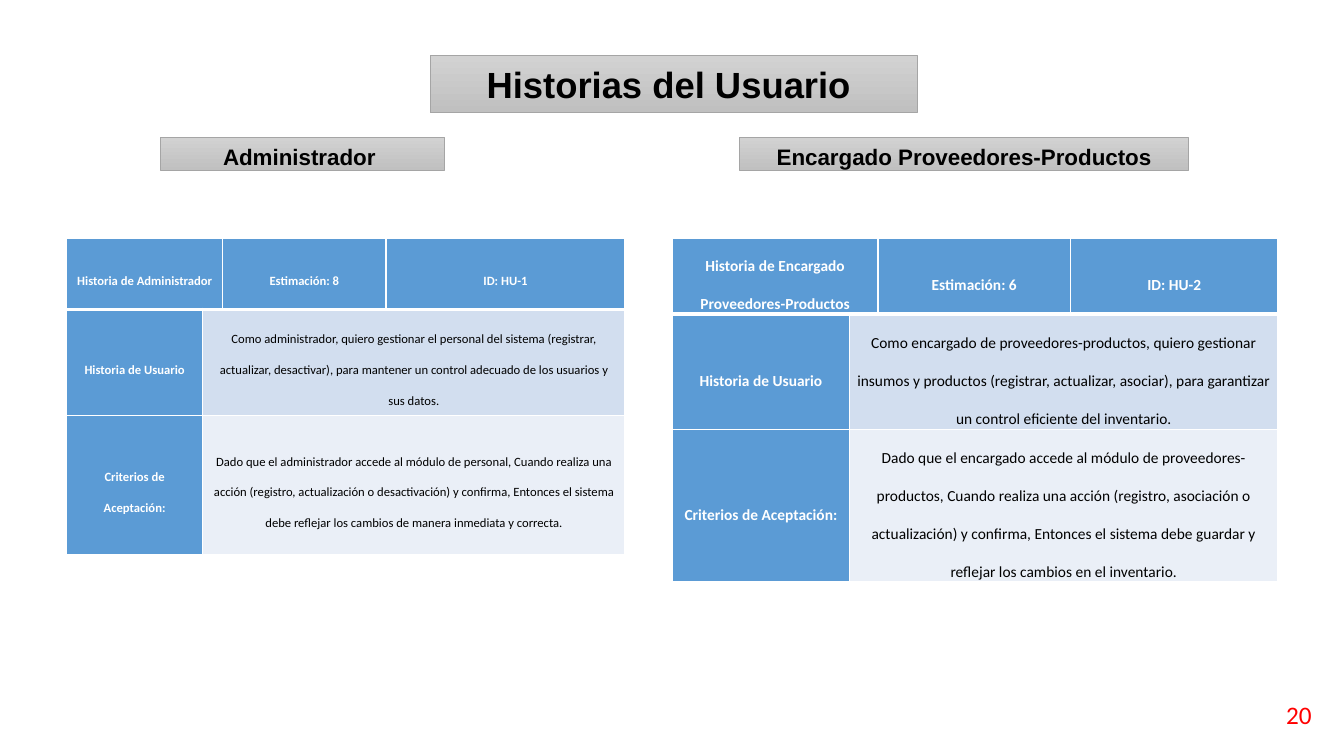
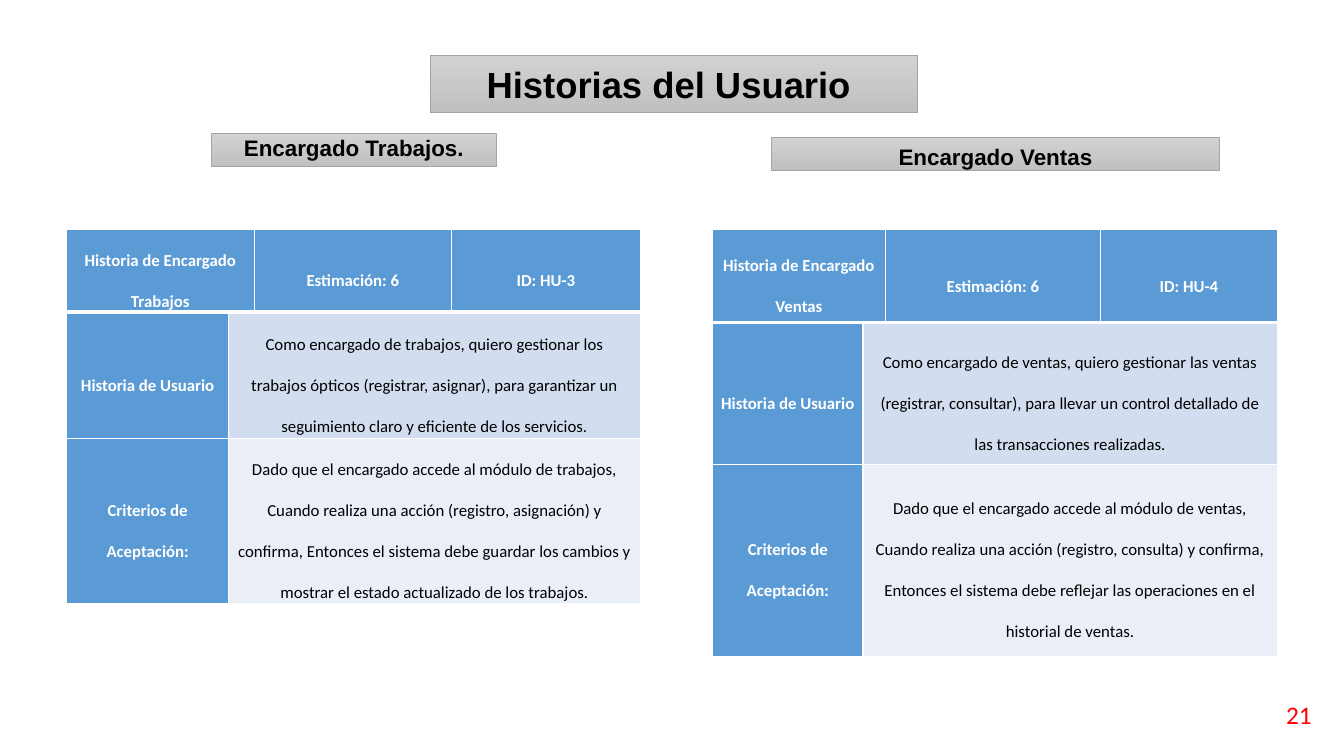
from dataclasses import dataclass
from typing import NamedTuple

from lxml import etree
from pptx import Presentation
from pptx import util as u
from pptx.dml.color import RGBColor
from pptx.enum import shapes, text
from pptx.oxml import ns

WIDTH, HEIGHT = u.Inches(13.33), u.Inches(7.5)

BLACK = RGBColor(0x00, 0x00, 0x00)
WHITE = RGBColor(0xFF, 0xFF, 0xFF)
RED = RGBColor(0xFF, 0x00, 0x00)
GRAY_TOP = RGBColor(0xD2, 0xD2, 0xD2)
GRAY_BOTTOM = RGBColor(0xC0, 0xC0, 0xC0)
GRAY_LINE = RGBColor(0xA5, 0xA5, 0xA5)
BLUE = RGBColor(0x5B, 0x9B, 0xD5)
BLUE_PALE = RGBColor(0xD2, 0xDE, 0xEF)
BLUE_FAINT = RGBColor(0xEA, 0xEF, 0xF7)


class Area(NamedTuple):
    left: float
    top: float
    width: float
    height: float


class Inset(NamedTuple):
    side: float
    edge: float


class Style(NamedTuple):
    size: float
    font: str
    color: RGBColor
    bold: bool = False


class Spacing(NamedTuple):
    align: text.PP_ALIGN = text.PP_ALIGN.CENTER
    line: float = 1.0
    before: float = 0
    after: float = 0


@dataclass(frozen=True)
class Band:
    label: str
    area: Area
    size: float = 16
    spacing: Spacing = Spacing(line=1.2)


@dataclass(frozen=True)
class Story:
    left: float
    top: float
    columns: tuple[float, ...]
    rows: tuple[float, ...]
    size: float
    role: str
    estimate: int
    code: int
    wish: str
    criteria: str
    inset: Inset = Inset(0.07, 0)
    wide_inset: Inset = Inset(0.07, 0)


@dataclass(frozen=True)
class StoryPage:
    number: int
    bands: tuple[Band, ...]
    stories: tuple[Story, ...]


TITLE = Band("Historias del Usuario ", Area(32.03, 7.33, 36.23, 7.6), 26, Spacing())
NUMBER_AREA = Area(75.83, 91.87, 22.5, 5.33)
CELL_SPACING = Spacing(line=2.0, before=12, after=8)
TAG_TOP, TAG_HEIGHT = 18.13, 4.4
TAG_NARROW, TAG_WIDE = 21.15, 33.38

PAGES = (
    StoryPage(
        20,
        (
            Band("Administrador ", Area(11.93, TAG_TOP, TAG_NARROW, TAG_HEIGHT)),
            Band("Encargado Proveedores-Productos", Area(55.05, TAG_TOP, TAG_WIDE, TAG_HEIGHT)),
        ),
        (
            Story(
                4.95, 31.47, (10.13, 1.43, 12.15, 17.78), (9.47, 14, 18.4), 9,
                "Administrador", 8, 1,
                "Como administrador, quiero gestionar el personal del sistema (registrar, "
                "actualizar, desactivar), para mantener un control adecuado de los usuarios "
                "y sus datos.",
                "Dado que el administrador accede al módulo de personal, Cuando realiza una "
                "acción (registro, actualización o desactivación) y confirma, Entonces el "
                "sistema debe reflejar los cambios de manera inmediata y correcta.",
                Inset(0.06, 0), Inset(0.08, 0.04),
            ),
            Story(
                50.03, 31.47, (13.2, 2.1, 14.33, 15.43), (10.1, 15.2, 20.2), 11,
                "Encargado Proveedores-Productos", 6, 2,
                "Como encargado de proveedores-productos, quiero gestionar insumos y "
                "productos (registrar, actualizar, asociar), para garantizar un control "
                "eficiente del inventario.",
                "Dado que el encargado accede al módulo de proveedores-productos, Cuando "
                "realiza una acción (registro, asociación o actualización) y confirma, "
                "Entonces el sistema debe guardar y reflejar los cambios en el inventario.",
            ),
        ),
    ),
    StoryPage(
        21,
        (
            Band("Encargado Trabajos.", Area(15.75, 17.6, TAG_NARROW, TAG_HEIGHT),
                 spacing=Spacing(line=0.9, after=10)),
            Band("Encargado Ventas", Area(57.38, TAG_TOP, TAG_WIDE, TAG_HEIGHT)),
        ),
        (
            Story(
                4.95, 30.4, (12.08, 1.88, 14.7, 14.03), (10.9, 16.7, 21.8), 12,
                "Encargado Trabajos", 6, 3,
                "Como encargado de trabajos, quiero gestionar los trabajos ópticos "
                "(registrar, asignar), para garantizar un seguimiento claro y eficiente "
                "de los servicios.",
                "Dado que el encargado accede al módulo de trabajos, Cuando realiza una "
                "acción (registro, asignación) y confirma, Entonces el sistema debe guardar "
                "los cambios y mostrar el estado actualizado de los trabajos.",
                wide_inset=Inset(0.08, 0),
            ),
            Story(
                53.03, 30.4, (11.18, 1.65, 16.05, 13.12), (12.27, 18.8, 25.33), 12,
                "Encargado Ventas", 6, 4,
                "Como encargado de ventas, quiero gestionar las ventas (registrar, "
                "consultar), para llevar un control detallado de las transacciones "
                "realizadas.",
                "Dado que el encargado accede al módulo de ventas, Cuando realiza una "
                "acción (registro, consulta) y confirma, Entonces el sistema debe reflejar "
                "las operaciones en el historial de ventas.",
            ),
        ),
    ),
)


def across(percent: float) -> u.Emu:
    return u.Emu(round(WIDTH * percent / 100))


def down(percent: float) -> u.Emu:
    return u.Emu(round(HEIGHT * percent / 100))


def place(area: Area) -> tuple[u.Emu, ...]:
    return across(area.left), down(area.top), across(area.width), down(area.height)


def write(frame, words: str, style: Style, spacing: Spacing) -> None:
    frame.word_wrap = True
    para = frame.paragraphs[0]
    para.alignment = spacing.align
    para.line_spacing = spacing.line
    para.space_before = u.Pt(spacing.before)
    para.space_after = u.Pt(spacing.after)
    span = para.add_run()
    span.text = words
    span.font.size = u.Pt(style.size)
    span.font.name = style.font
    span.font.bold = style.bold
    span.font.color.rgb = style.color


def draw_band(page, band: Band) -> None:
    box = page.shapes.add_shape(shapes.MSO_SHAPE.RECTANGLE, *place(band.area))
    box.shadow.inherit = False
    box.fill.gradient()
    box.fill.gradient_angle = 270
    for stop, color in zip(box.fill.gradient_stops, (GRAY_TOP, GRAY_BOTTOM)):
        stop.color.rgb = color
    box.line.color.rgb = GRAY_LINE
    box.line.width = u.Pt(0.5)
    box.text_frame.vertical_anchor = text.MSO_ANCHOR.MIDDLE
    write(box.text_frame, band.label, Style(band.size, "Arial", BLACK, True), band.spacing)


def draw_number(page, number: int) -> None:
    box = page.shapes.add_textbox(*place(NUMBER_AREA))
    box.text_frame.vertical_anchor = text.MSO_ANCHOR.MIDDLE
    write(box.text_frame, str(number), Style(18, "Calibri", RED),
          Spacing(text.PP_ALIGN.RIGHT))


def draw_borders(cell, top: float, bottom: float) -> None:
    properties = cell._tc.get_or_add_tcPr()
    for side, points in (("L", 1), ("R", 1), ("T", top), ("B", bottom)):
        line = etree.SubElement(properties, ns.qn(f"a:ln{side}"), w=str(u.Pt(points)))
        fill = etree.SubElement(line, ns.qn("a:solidFill"))
        etree.SubElement(fill, ns.qn("a:srgbClr"), val=str(WHITE))


def fill_cell(cell, words: str, size: float, color: RGBColor, inset: Inset) -> None:
    heading = color == BLUE
    cell.fill.solid()
    cell.fill.fore_color.rgb = color
    cell.vertical_anchor = text.MSO_ANCHOR.MIDDLE
    cell.margin_left = cell.margin_right = u.Inches(inset.side)
    cell.margin_top = cell.margin_bottom = u.Inches(inset.edge)
    style = Style(size, "Calibri", WHITE if heading else BLACK, heading)
    write(cell.text_frame, words, style, CELL_SPACING)


def draw_story(page, story: Story) -> None:
    area = Area(story.left, story.top, sum(story.columns), sum(story.rows))
    table = page.shapes.add_table(len(story.rows), len(story.columns), *place(area)).table
    table.first_row = table.horz_banding = False
    for column, share in zip(table.columns, story.columns):
        column.width = across(share)
    for index, (row, share) in enumerate(zip(table.rows, story.rows)):
        row.height = down(share)
        for cell in row.cells:
            draw_borders(cell, 3 if index == 1 else 1, 3 if index == 0 else 1)
    table.cell(0, 0).merge(table.cell(0, 1))
    for row in (1, 2):
        table.cell(row, 1).merge(table.cell(row, 3))
    contents = (
        (0, 0, f"Historia de {story.role}", BLUE, story.wide_inset),
        (0, 2, f"Estimación: {story.estimate}", BLUE, story.inset),
        (0, 3, f"ID: HU-{story.code}", BLUE, story.inset),
        (1, 0, "Historia de Usuario", BLUE, story.inset),
        (1, 1, story.wish, BLUE_PALE, story.wide_inset),
        (2, 0, "Criterios de Aceptación:", BLUE, story.inset),
        (2, 1, story.criteria, BLUE_FAINT, story.wide_inset),
    )
    for row, column, words, color, inset in contents:
        fill_cell(table.cell(row, column), words, story.size, color, inset)


def main() -> None:
    deck = Presentation()
    deck.slide_width, deck.slide_height = WIDTH, HEIGHT
    for plan in PAGES:
        page = deck.slides.add_slide(deck.slide_layouts[6])
        draw_number(page, plan.number)
        for band in (TITLE, *plan.bands):
            draw_band(page, band)
        for story in plan.stories:
            draw_story(page, story)
    deck.save("out.pptx")


if __name__ == "__main__":
    main()
